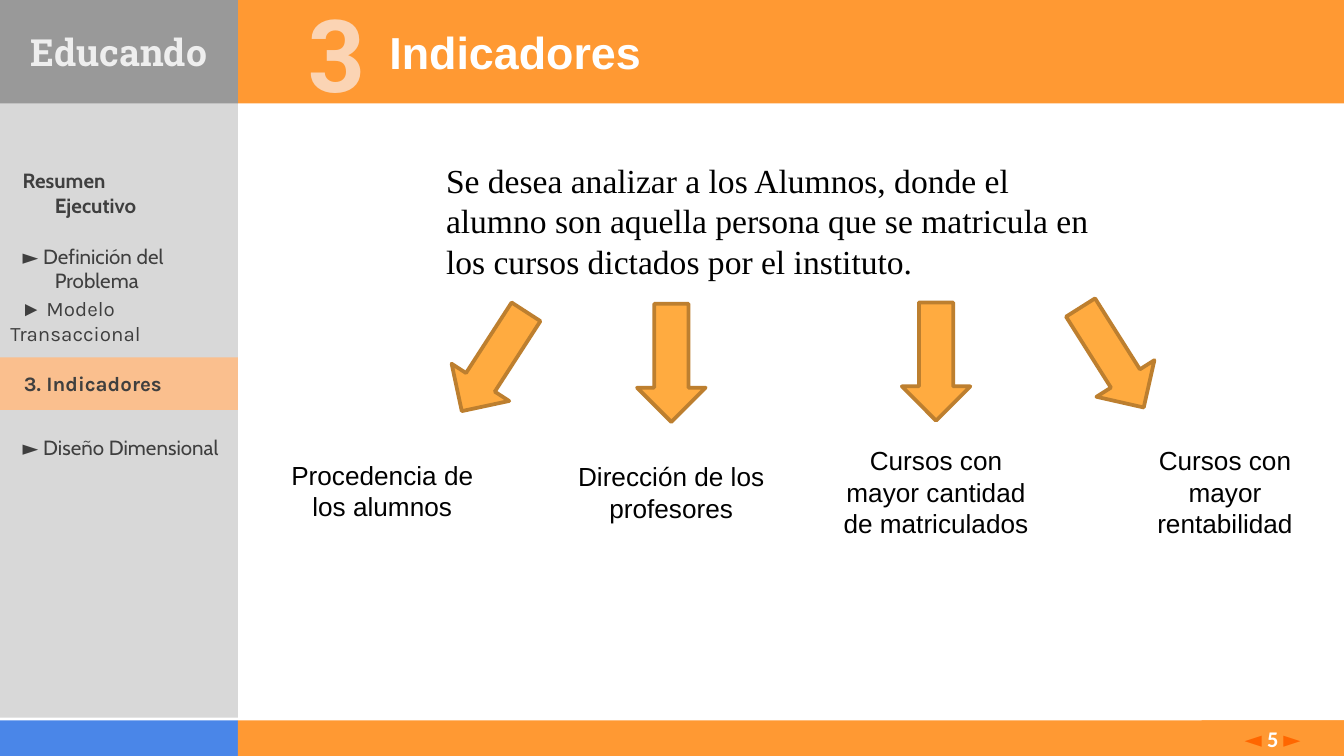
import pptx
import pptx.dml.color
import pptx.enum.shapes
import pptx.enum.text
import pptx.util

Inches = pptx.util.Inches
Shapes = pptx.enum.shapes.MSO_SHAPE
Align = pptx.enum.text.PP_ALIGN
Anchor = pptx.enum.text.MSO_ANCHOR
color = pptx.dml.color.RGBColor.from_string

presentation = pptx.Presentation()
presentation.slide_width = Inches(10)
presentation.slide_height = Inches(10 * 9 / 16)
slide = presentation.slides.add_slide(presentation.slide_layouts[6])

SIDEBAR = 1.77
HEADER = 0.77
FOOTER_TOP = 5.36
FOOTER = 10 * 9 / 16 - FOOTER_TOP
ITEM = 0.39
ORANGE = "FF9933"


def add_box(left, top, width, height, fill=None, kind=Shapes.RECTANGLE):
    position = [Inches(length) for length in (left, top, width, height)]
    if fill is None:
        return slide.shapes.add_textbox(*position)
    shape = slide.shapes.add_shape(kind, *position)
    shape.shadow.inherit = False
    shape.fill.solid()
    shape.fill.fore_color.rgb = color(fill)
    shape.line.fill.background()
    return shape


def write(shape, paragraphs, style, align=Align.LEFT, anchor=Anchor.MIDDLE):
    frame = shape.text_frame
    frame.word_wrap = True
    frame.vertical_anchor = anchor
    for index, (margin, indent, runs) in enumerate(paragraphs):
        paragraph = frame.paragraphs[0] if index == 0 else frame.add_paragraph()
        paragraph.alignment = align
        properties = paragraph._p.get_or_add_pPr()
        properties.set("marL", str(Inches(margin)))
        properties.set("indent", str(Inches(indent)))
        for text, changes in runs:
            run = paragraph.add_run()
            run.text = text
            values = {**style, **changes}
            run.font.color.rgb = color(values.pop("color"))
            values["size"] = pptx.util.Pt(values["size"])
            for name, value in values.items():
                setattr(run.font, name, value)


cabin = {"name": "Cabin", "size": 11, "color": "3F3F3F", "bold": False}
karla = {**cabin, "name": "Karla"}
cabin_bold = {**cabin, "bold": True}

add_box(0, 0.76, SIDEBAR, 4.58, "D8D8D8")
menu = [
    (1.24, ["Resumen", "Ejecutivo"], cabin_bold),
    (1.8, ["► Definición del", "Problema"], cabin),
    (3.13, ["► Diseño Dimensional"], cabin),
]
for top, lines, style in menu:
    paragraphs = [(margin, 0, [(line, {})]) for margin, line in zip((0.07, 0.31), lines)]
    write(add_box(0, top, SIDEBAR, ITEM), paragraphs, style)

add_box(0, FOOTER_TOP, SIDEBAR, FOOTER, "4A86E8")
add_box(SIDEBAR, 0, 10 - SIDEBAR, HEADER, ORANGE)
add_box(SIDEBAR, FOOTER_TOP, 10 - SIDEBAR, FOOTER, ORANGE)

page_runs = [("◄ ", {}), ("5 ", {"color": "FFFFFF"}), ("►", {})]
page_style = {"name": "Calibri", "size": 12, "color": "FF6600", "bold": True}
write(add_box(8.94, FOOTER_TOP, 1.06, FOOTER, ORANGE), [(0, 0, page_runs)], page_style, Align.CENTER)

number_style = {"name": "Roboto Slab", "size": 54, "color": "FBD4B4", "bold": True}
write(add_box(1.93, 0, 0.87, HEADER), [(0, 0, [("3", {})])], number_style, Align.RIGHT)

title_style = {"name": "Arial", "size": 24, "color": "FFFFFF", "bold": True}
write(add_box(2.8, 0, 7.2, HEADER), [(0, 0, [("Indicadores", {})])], title_style)

model_runs = [("►", {"name": "Arial"}), (" Modelo Transaccional", {})]
write(add_box(-0.02, 2.19, SIDEBAR, ITEM), [(0, 0.08, model_runs)], karla)

current_runs = [("3. Indicadores", {"bold": True})]
write(add_box(0, 2.66, SIDEBAR, ITEM, "FABF8E"), [(0.08, 0, current_runs)], karla)

brand_style = {"name": "Roboto Slab", "size": 20, "color": "EEEEEE", "bold": True}
write(add_box(0, 0, SIDEBAR, HEADER, "999999"), [(0, 0, [("Educando", {})])], brand_style, Align.CENTER)

statement = (
    "Se desea analizar a los Alumnos, donde el alumno son aquella persona "
    "que se matricula en los cursos dictados por el instituto."
)
statement_style = {"name": "Times New Roman", "size": 18, "color": "000000"}
write(add_box(3.22, 1.14, 5.09, 1.25), [(0, 0, [(statement, {})])], statement_style, anchor=Anchor.TOP)

for left, top, rotation in [(3.42, 2.25, 32.9), (4.74, 2.26, 0), (6.71, 2.25, 0), (8.02, 2.22, 327.7)]:
    arrow = add_box(left, top, 0.51, 0.88, "FFAB40", Shapes.DOWN_ARROW)
    arrow.rotation = rotation
    arrow.line.color.rgb = color("BD7F2F")
    arrow.line.width = pptx.util.Pt(2)

indicator_style = {"name": "Arial", "size": 14, "color": "000000"}
indicators = [
    (1.96, 3.37, 0.57, "Procedencia de los alumnos"),
    (4.11, 3.38, 0.57, "Dirección de los profesores"),
    (6.08, 3.26, 0.81, "Cursos con mayor cantidad de matriculados"),
    (8.23, 3.26, 0.81, "Cursos con mayor rentabilidad"),
]
for left, top, height, text in indicators:
    label = add_box(left, top, 1.77, height)
    write(label, [(0, 0, [(text, {})])], indicator_style, Align.CENTER, Anchor.TOP)

presentation.save("out.pptx")
